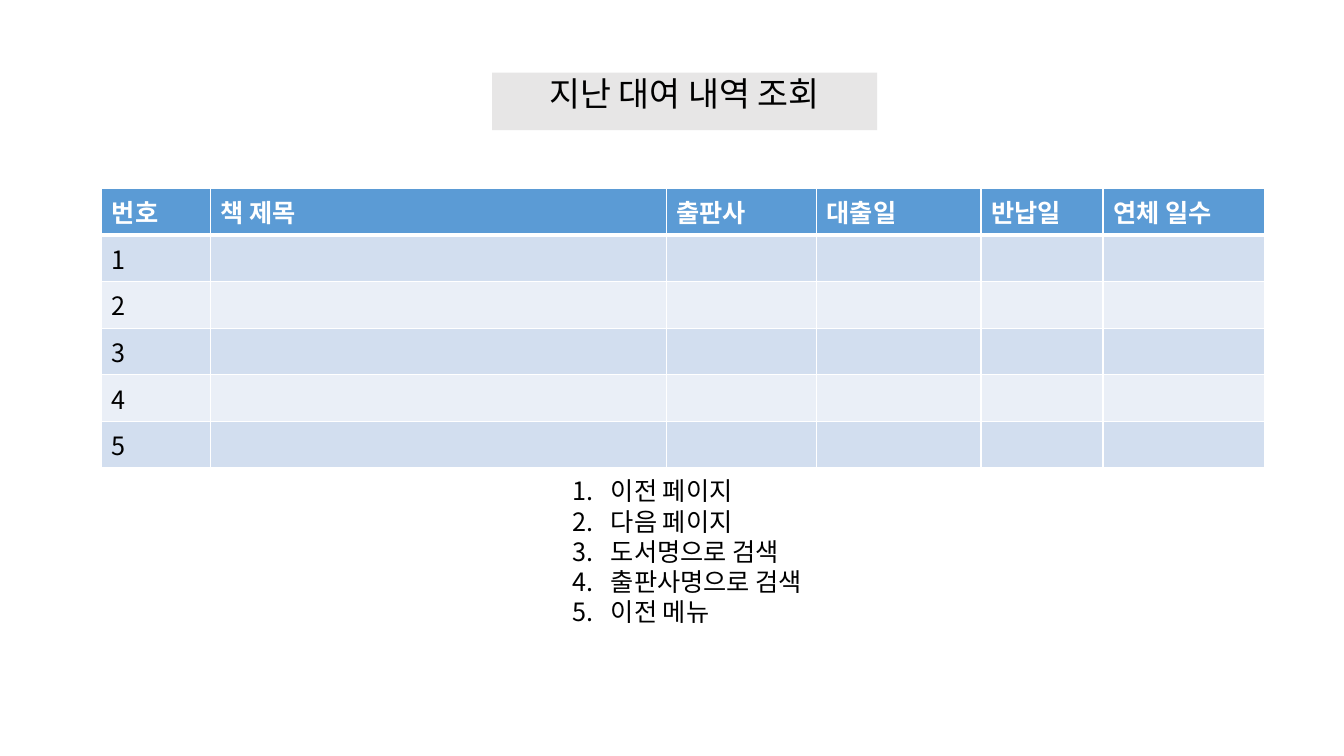
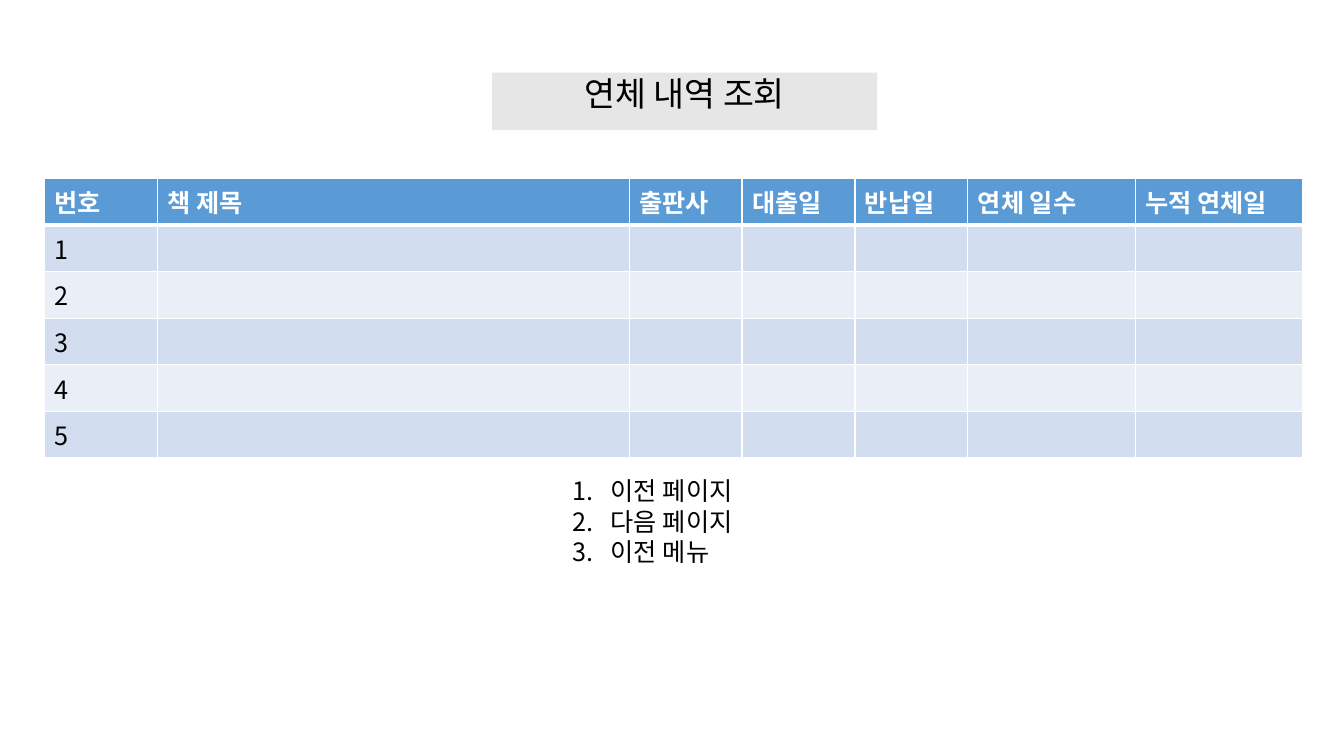
"""Build two library screens: rental history and overdue history."""
from dataclasses import dataclass
from lxml import etree
from pptx import Presentation
from pptx.dml.color import RGBColor
from pptx.enum.text import MSO_ANCHOR, MSO_AUTO_SIZE, PP_ALIGN
from pptx.oxml.ns import qn
from pptx.util import Inches, Pt

TOP = MSO_ANCHOR.TOP
NO_FIT, FIT_SHAPE = MSO_AUTO_SIZE.NONE, MSO_AUTO_SIZE.SHAPE_TO_FIT_TEXT
CENTER = PP_ALIGN.CENTER


@dataclass(frozen=True)
class Theme:
    font: str = "Noto Sans CJK KR"
    text: str = "000000"
    white: str = "FFFFFF"
    title_fill: str = "E7E6E6"
    header: str = "5B9BD5"
    bands: tuple = ("D2DEEF", "EAEFF7")
    title_size: int = 24
    body_size: int = 18


THEME = Theme()
TITLE_ROW_COUNT, BOOK_COUNT = 1, 5

SCREENS = [
    dict(
        title="지난 대여 내역 조회",
        left=1.01, top=1.87,
        columns=[("번호", 1.08), ("책 제목", 4.52), ("출판사", 1.49),
                 ("대출일", 1.63), ("반납일", 1.21), ("연체 일수", 1.6)],
        menu=["이전 페이지", "다음 페이지", "도서명으로 검색",
              "출판사명으로 검색", "이전 메뉴"],
        menu_size=(3.12, 1.62),
    ),
    dict(
        title="연체 내역 조회",
        left=0.44, top=1.77,
        columns=[("번호", 1.12), ("책 제목", 4.68), ("출판사", 1.12),
                 ("대출일", 1.12), ("반납일", 1.12), ("연체 일수", 1.66),
                 ("누적 연체일", 1.66)],
        menu=["이전 페이지", "다음 페이지", "이전 메뉴"],
        menu_size=(1.93, 1.01),
    ),
]


def style_text(p, size, color=THEME.text, bold=False):
    for r in p.runs:
        r.font.size, r.font.bold, r.font.name = Pt(size), bold, THEME.font
        r.font.color.rgb = RGBColor.from_string(color)
        etree.SubElement(r.font._element, qn("a:ea"), typeface=THEME.font)


def add_border(cell, side, width):
    ln = etree.SubElement(cell._tc.get_or_add_tcPr(), qn(f"a:ln{side}"), w=str(Pt(width)))
    fill = etree.SubElement(ln, qn("a:solidFill"))
    etree.SubElement(fill, qn("a:srgbClr"), val=THEME.white)


prs = Presentation()
prs.slide_width, prs.slide_height = Inches(13.33), Inches(7.5)

for screen in SCREENS:
    s = prs.slides.add_slide(prs.slide_layouts[5])

    title = s.shapes.title
    title.left, title.top = Inches(4.88), Inches(0.72)
    title.width, title.height = Inches(3.82), Inches(0.57)
    title.fill.solid()
    title.fill.fore_color.rgb = RGBColor.from_string(THEME.title_fill)
    tf = title.text_frame
    tf.text = screen["title"]
    tf.vertical_anchor, tf.auto_size = TOP, NO_FIT
    p = tf.paragraphs[0]
    p.alignment, p.line_spacing, p.space_before = CENTER, 0.9, Pt(10)
    style_text(p, THEME.title_size)

    columns = screen["columns"]
    table_width = sum(width for _, width in columns)
    table = s.shapes.add_table(
        TITLE_ROW_COUNT + BOOK_COUNT, len(columns), Inches(screen["left"]),
        Inches(screen["top"]), Inches(table_width), Inches(2.43)).table
    for column, (_, width) in zip(table.columns, columns):
        column.width = Inches(width)
    for i, row in enumerate(table.rows):
        is_header = i == 0
        row.height = Inches(0.3 if is_header else 0.41)
        fill = THEME.header if is_header else THEME.bands[(i - 1) % 2]
        for j, cell in enumerate(row.cells):
            if is_header:
                cell.text = columns[j][0]
            elif j == 0:
                cell.text = str(i)
            style_text(cell.text_frame.paragraphs[0], THEME.body_size,
                       THEME.white if is_header else THEME.text, is_header)
            for side in "LRTB":
                under_header = (i, side) in ((0, "B"), (1, "T"))
                add_border(cell, side, 3 if under_header else 1)
            cell.fill.solid()
            cell.fill.fore_color.rgb = RGBColor.from_string(fill)

    width, height = screen["menu_size"]
    menu = s.shapes.add_textbox(Inches(5.58), Inches(4.67), Inches(width), Inches(height))
    tf = menu.text_frame
    tf.word_wrap, tf.auto_size = True, FIT_SHAPE
    tf.text = "\n".join(screen["menu"])
    for p in tf.paragraphs:
        pPr = p._p.get_or_add_pPr()
        pPr.set("marL", str(Inches(0.38)))
        pPr.set("indent", str(-Inches(0.38)))
        etree.SubElement(pPr, qn("a:buAutoNum"), type="arabicPeriod")
        style_text(p, THEME.body_size)

prs.save("out.pptx")
